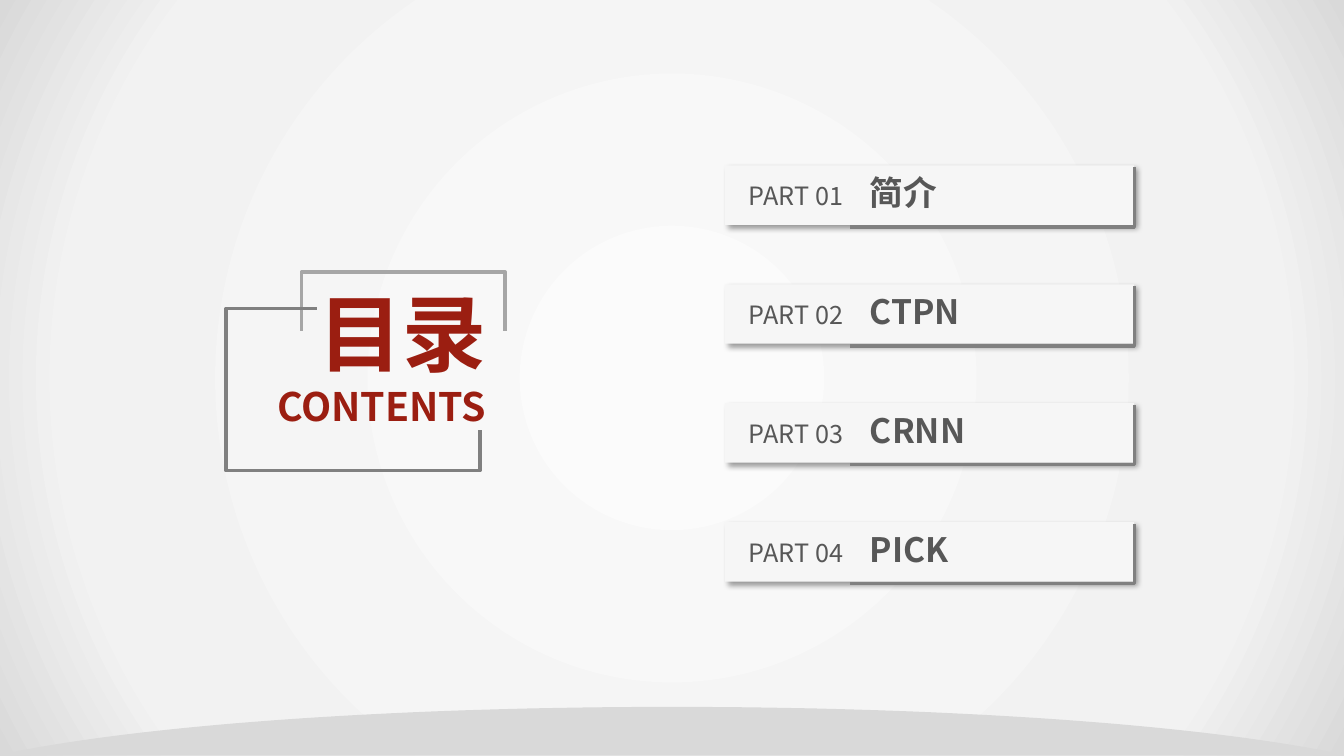
from lxml import etree
from pptx import Presentation
from pptx.dml.color import RGBColor as RGB
from pptx.enum.shapes import MSO_SHAPE as SHAPE
from pptx.enum.text import MSO_AUTO_SIZE as AUTO, PP_ALIGN as ALIGN
from pptx.oxml import parse_xml
from pptx.oxml.ns import nsdecls, qn
from pptx.util import Inches, Pt

# Content
HEADING = [("目录", 60), ("CONTENTS", 28)]
PARTS = [("PART 01", "简介"), ("PART 02", "CTPN"),
         ("PART 03", "CRNN"), ("PART 04", "PICK")]

# Style
FONT = "Noto Sans CJK SC"
RED = RGB(0x9B, 0x1E, 0x11)
TEXT_GREY = RGB(0x57, 0x57, 0x57)
CARD_GREY = RGB(0xF6, 0xF6, 0xF6)
DARK_LINE = RGB(0x80, 0x80, 0x80)
LIGHT_LINE = RGB(0xA6, 0xA6, 0xA6)
GROUND = RGB(0xD9, 0xD9, 0xD9)
BACKDROP = [(0, "FBFBFB"), (79, "F2F2F2"), (100, "D9D9D9")]

# Layout in inches
W, H = 13.33, 7.5
CARD_X, CARD_Y, CARD_W, CARD_H, PITCH = 7.19, 1.64, 4.06, 0.59, 1.18
EDGE_X = 8.43      # left end of the edge line under a card
TITLE_TAB = 1.2    # start of a part's title within its text box

prs = Presentation()
prs.slide_width, prs.slide_height = Inches(W), Inches(H)
s = prs.slides.add_slide(prs.slide_layouts[6])


def add_rect(x, y, w, h, color=None):
    sp = s.shapes.add_shape(SHAPE.RECTANGLE, *map(Inches, (x, y, w, h)))
    sp.shadow.inherit = False
    sp.line.fill.background()
    if color is not None:
        sp.fill.solid()
        sp.fill.fore_color.rgb = color
    return sp


def add_path(points, line, width, fill=None):
    pts = [(Inches(x), Inches(y)) for x, y in points]
    builder = s.shapes.build_freeform(*pts[0])
    builder.add_line_segments(pts[1:], close=fill is not None)
    sp = builder.convert_to_shape()
    sp.shadow.inherit = False
    sp.line.color.rgb, sp.line.width = line, Pt(width)
    if fill is None:
        sp.fill.background()
    else:
        sp.fill.solid()
        sp.fill.fore_color.rgb = fill


def add_run(p, text, *, size, color, bold=False):
    r = p.add_run()
    r.text = text
    f = r.font
    f.name, f.size, f.bold, f.color.rgb = FONT, Pt(size), bold, color
    etree.SubElement(r._r.get_or_add_rPr(), qn("a:ea"), typeface=FONT)


def add_text(x, y, w, h, paragraphs, *, color, align=ALIGN.LEFT, tab=None):
    """Each paragraph is a list of (text, size, bold) runs."""
    tf = s.shapes.add_textbox(*map(Inches, (x, y, w, h))).text_frame
    tf.word_wrap, tf.auto_size = True, AUTO.SHAPE_TO_FIT_TEXT
    for i, runs in enumerate(paragraphs):
        p = tf.paragraphs[0] if i == 0 else tf.add_paragraph()
        p.alignment = align
        if tab:
            tabs = etree.SubElement(p._p.get_or_add_pPr(), qn("a:tabLst"))
            etree.SubElement(tabs, qn("a:tab"), pos=str(Inches(tab)), algn="l")
        for text, size, bold in runs:
            add_run(p, text, size=size, color=color, bold=bold)


def radial_fill(sp, stops):
    sp.fill.background()
    gs = "".join(f'<a:gs pos="{pos * 1000}"><a:srgbClr val="{c}"/></a:gs>'
                 for pos, c in stops)
    grad = parse_xml(
        f'<a:gradFill {nsdecls("a")} rotWithShape="1"><a:gsLst>{gs}</a:gsLst>'
        '<a:path path="circle"><a:fillToRect l="50000" t="50000" r="50000" '
        'b="50000"/></a:path></a:gradFill>')
    pr = sp._element.spPr
    pr.replace(pr.find(qn("a:noFill")), grad)


def drop_shadow(sp, blur=4, distance=3, angle=45, opacity=40):
    sp._element.spPr.find(qn("a:effectLst")).append(parse_xml(
        f'<a:outerShdw {nsdecls("a")} blurRad="{Pt(blur)}" dist="{Pt(distance)}" '
        f'dir="{angle * 60000}" algn="tl" rotWithShape="0"><a:srgbClr val="000000">'
        f'<a:alpha val="{opacity * 1000}"/></a:srgbClr></a:outerShdw>'))


def bezier(a, b, c, d, steps=40):
    for t in (i / steps for i in range(steps + 1)):
        u = 1 - t
        yield tuple(u**3 * a[k] + 3 * u*u*t * b[k] + 3 * u*t*t * c[k] + t**3 * d[k]
                    for k in (0, 1))


# Backdrop and curved ground
radial_fill(add_rect(0, 0, W, H), BACKDROP)
left = list(bezier((0.07, 7.48), (1.42, 7.2), (3.88, 7.02), (W / 2, 7.02)))
right = [(W - x, y) for x, y in reversed(left[:-1])]
add_path([(0, 7.49), *left, *right, (W, 7.49)], GROUND, 1, fill=GROUND)

# Heading with its two open frames
add_text(1.43, 2.74, 3.49, 1.58, [[(t, size, True)] for t, size in HEADING],
         color=RED, align=ALIGN.RIGHT)
add_path([(2.99, 3.28), (2.99, 2.7), (5.01, 2.7), (5.01, 3.28)], LIGHT_LINE, 2.5)
add_path([(4.76, 4.27), (4.76, 4.67), (2.24, 4.67), (2.24, 3.06), (3.14, 3.06)],
         DARK_LINE, 2.5)

# One card for each part
for i, (label, title) in enumerate(PARTS):
    y = CARD_Y + i * PITCH
    drop_shadow(add_rect(CARD_X, y, CARD_W, CARD_H, CARD_GREY))
    add_text(CARD_X + 0.14, y + 0.02, 3.91, 0.5,
             [[(label + "\t", 18, False), (title, 24, True)]],
             color=TEXT_GREY, tab=TITLE_TAB)
    x, top, bottom = CARD_X + CARD_W, y + 0.02, y + 0.02 + CARD_H
    add_path([(x, top), (x, bottom), (EDGE_X, bottom)], DARK_LINE, 2.5)

prs.save("out.pptx")
